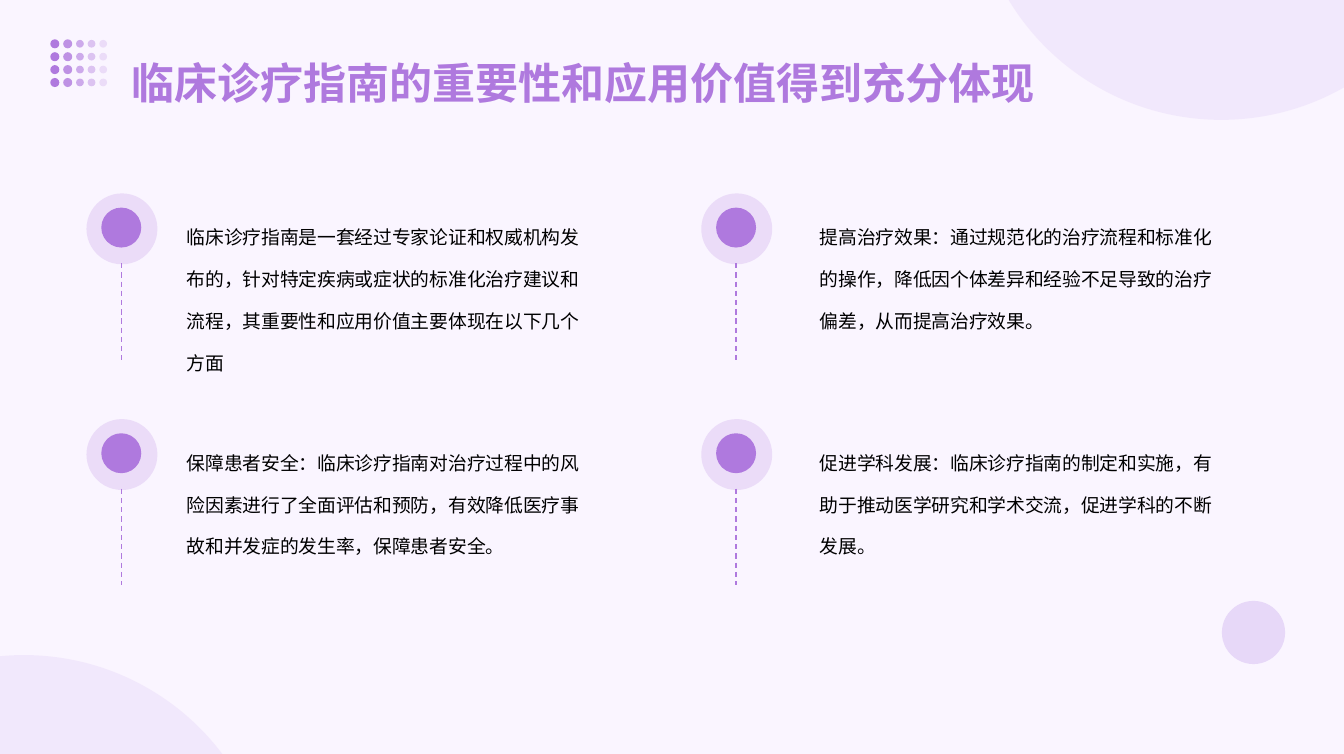
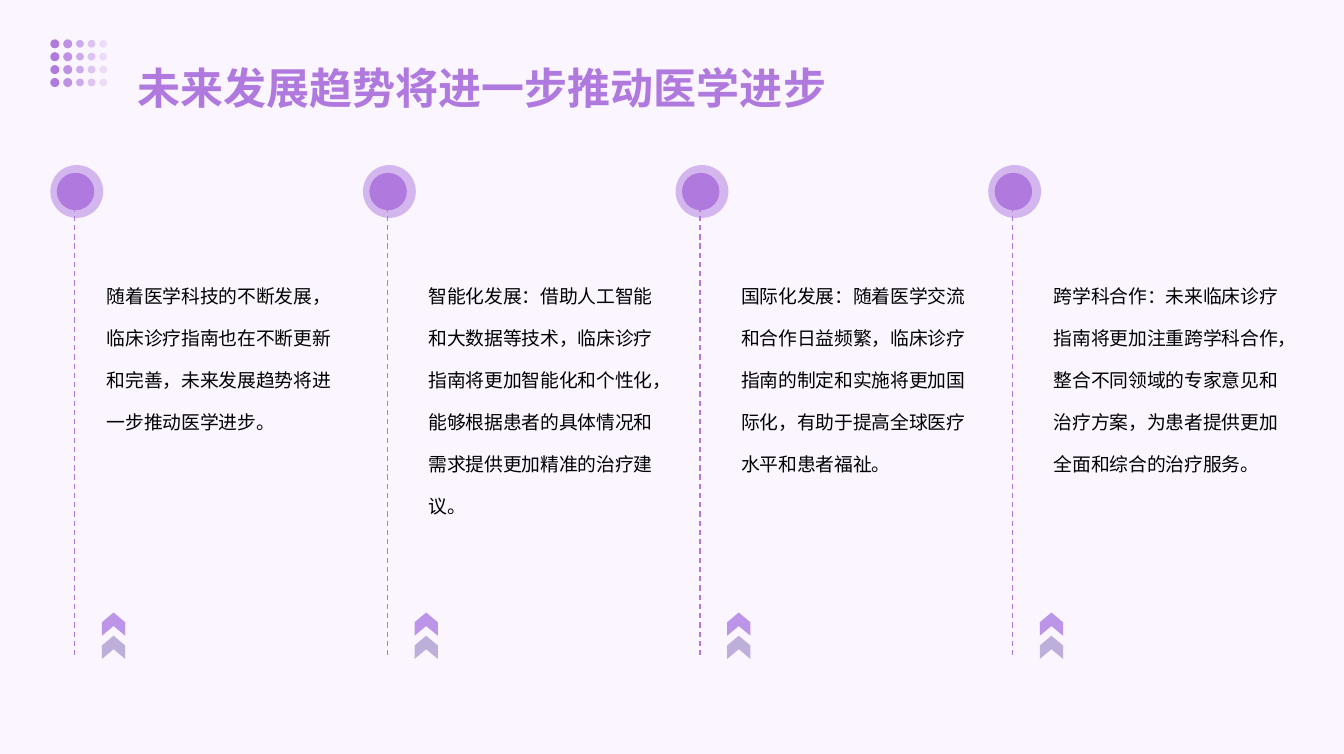
from pptx import Presentation
from pptx.dml.color import RGBColor
from pptx.enum.dml import MSO_LINE
from pptx.enum.shapes import MSO_CONNECTOR, MSO_SHAPE
from pptx.oxml.ns import qn
from pptx.util import Inches, Pt
from lxml.etree import SubElement

FONT = "Noto Sans CJK SC"
HUES = {
    "page": "FAF5FF",
    "main": "AF79DE",
    "soft": "BC95E8",
    "dusk": "816BB7",
    "text": "000000",
}
GUIDE = [
    "临床诊疗指南是一套经过专家论证和权威机构发布的，针对特定疾病或症状的标准化治疗建议和流程，其重要性和应用价值主要体现在以下几个方面",
    "提高治疗效果：通过规范化的治疗流程和标准化的操作，降低因个体差异和经验不足导致的治疗偏差，从而提高治疗效果。",
    "保障患者安全：临床诊疗指南对治疗过程中的风险因素进行了全面评估和预防，有效降低医疗事故和并发症的发生率，保障患者安全。",
    "促进学科发展：临床诊疗指南的制定和实施，有助于推动医学研究和学术交流，促进学科的不断发展。",
]
TRENDS = [
    "随着医学科技的不断发展，临床诊疗指南也在不断更新和完善，未来发展趋势将进一步推动医学进步。",
    "智能化发展：借助人工智能和大数据等技术，临床诊疗指南将更加智能化和个性化，能够根据患者的具体情况和需求提供更加精准的治疗建议。",
    "国际化发展：随着医学交流和合作日益频繁，临床诊疗指南的制定和实施将更加国际化，有助于提高全球医疗水平和患者福祉。",
    "跨学科合作：未来临床诊疗指南将更加注重跨学科合作，整合不同领域的专家意见和治疗方案，为患者提供更加全面和综合的治疗服务。",
]


def hue(name):
    """Return the colour of a given name."""
    return RGBColor.from_string(HUES[name])


def put(slide, kind, x, y, size, name, alpha=100):
    """Add a square-boxed shape with a plain fill."""
    shape = slide.shapes.add_shape(
        kind, Inches(x), Inches(y), Inches(size), Inches(size))
    shape.shadow.inherit = False
    shape.line.fill.background()
    shape.fill.solid()
    shape.fill.fore_color.rgb = hue(name)
    if alpha < 100:
        tint = shape.fill._xPr.find(qn("a:solidFill"))[0]
        SubElement(tint, qn("a:alpha")).set("val", str(alpha * 1000))
    return shape


def disc(slide, x, y, size, name, alpha=100):
    """Add a circle."""
    return put(slide, MSO_SHAPE.OVAL, x, y, size, name, alpha)


def stem(slide, x, top, end):
    """Add an upright dashed line."""
    line = slide.shapes.add_connector(
        MSO_CONNECTOR.STRAIGHT, Inches(x), Inches(top), Inches(x), Inches(end))
    line.line.color.rgb = hue("main")
    line.line.width = Pt(0.75)
    line.line.dash_style = MSO_LINE.DASH
    SubElement(line._element.spPr, qn("a:effectLst"))


def write(slide, box, words, size, pitch, name="text", bold=False):
    """Add a wrapped text box."""
    frame = slide.shapes.add_textbox(*map(Inches, box)).text_frame
    frame.word_wrap = True
    frame.margin_left = frame.margin_top = frame.margin_bottom = Inches(0.1)
    frame.margin_right = Inches(0.05)
    para = frame.paragraphs[0]
    para.line_spacing = Pt(pitch)
    run = para.add_run()
    run.text = words
    font = run.font
    font.name, font.size, font.bold = FONT, Pt(size), bold
    font.color.rgb = hue(name)
    SubElement(run._r.get_or_add_rPr(), qn("a:ea")).set("typeface", FONT)


def body(slide, box, words):
    """Add a block of body text."""
    write(slide, box, words, 10.5, 23.4)


def head(slide, x, y, words):
    """Add the fading dot grid and the title."""
    dots = [(0.39, 0.07), (0.49, 0.07), (0.59, 0.06), (0.68, 0.06),
            (0.77, 0.06)]
    for row in range(4):
        for col, (left, size) in enumerate(dots):
            disc(slide, left, 0.34 + row * 0.1 - size / 2, size, "main",
                 100 - col * 20)
    write(slide, (x, y, 8.55, 0.94), words, 24, 50.1, "main", True)


def page(deck):
    """Add a blank slide with the shared background."""
    slide = deck.slides.add_slide(deck.slide_layouts[6])
    slide.background.fill.solid()
    slide.background.fill.fore_color.rgb = hue("page")
    return slide


def point(slide, x, y, gap, words):
    """Add a marker with a short stem and its text."""
    disc(slide, x, y, 0.55, "main", 20)
    disc(slide, x + 0.115, y + 0.11, 0.31, "main")
    stem(slide, x + 0.27, y + 0.54, y + 1.29)
    body(slide, (x + gap, y, 3.3, 1.57), words)


def trend(slide, x, y, gap, words):
    """Add a column with a marker, long stem, text and chevrons."""
    disc(slide, x, y, 0.41, "main", 50)
    disc(slide, x + 0.05, y + 0.06, 0.29, "main")
    stem(slide, x + 0.19, y + 0.25, y + 3.83)
    for row, (name, alpha) in enumerate([("soft", 100), ("dusk", 50)]):
        mark = put(slide, MSO_SHAPE.CHEVRON, x + 0.4, y + 3.47 + row * 0.18,
                   0.18, name, alpha)
        mark.adjustments[0] = 0.42
        mark.rotation = 270
    body(slide, (x + gap, y + 0.68, 1.99, 2.59), words)


def value(deck):
    """Build the slide with a two by two grid of points."""
    slide = page(deck)
    disc(slide, -1.74, 5.08, 3.85, "soft", 13)
    disc(slide, 7.54, -2.92, 3.85, "soft", 13)
    disc(slide, 9.47, 4.66, 0.49, "soft", 30)
    for spot, words in enumerate(GUIDE):
        row, col = divmod(spot, 2)
        point(slide, 0.67 + col * 4.765, 1.5 + row * 1.75,
              (0.68, 0.82)[col], words)
    head(slide, 0.92, 0.04, "临床诊疗指南的重要性和应用价值得到充分体现")


def future(deck):
    """Build the slide with four trend columns."""
    slide = page(deck)
    head(slide, 0.97, 0.08, "未来发展趋势将进一步推动医学进步")
    for col, words in enumerate(TRENDS):
        trend(slide, 0.39 + col * 2.423, 1.28, 0.41 if col else 0.34, words)


def main():
    """Build and save the deck."""
    deck = Presentation()
    deck.slide_width, deck.slide_height = Inches(750 / 72), Inches(421 / 72)
    value(deck)
    future(deck)
    deck.save("out.pptx")


if __name__ == "__main__":
    main()
